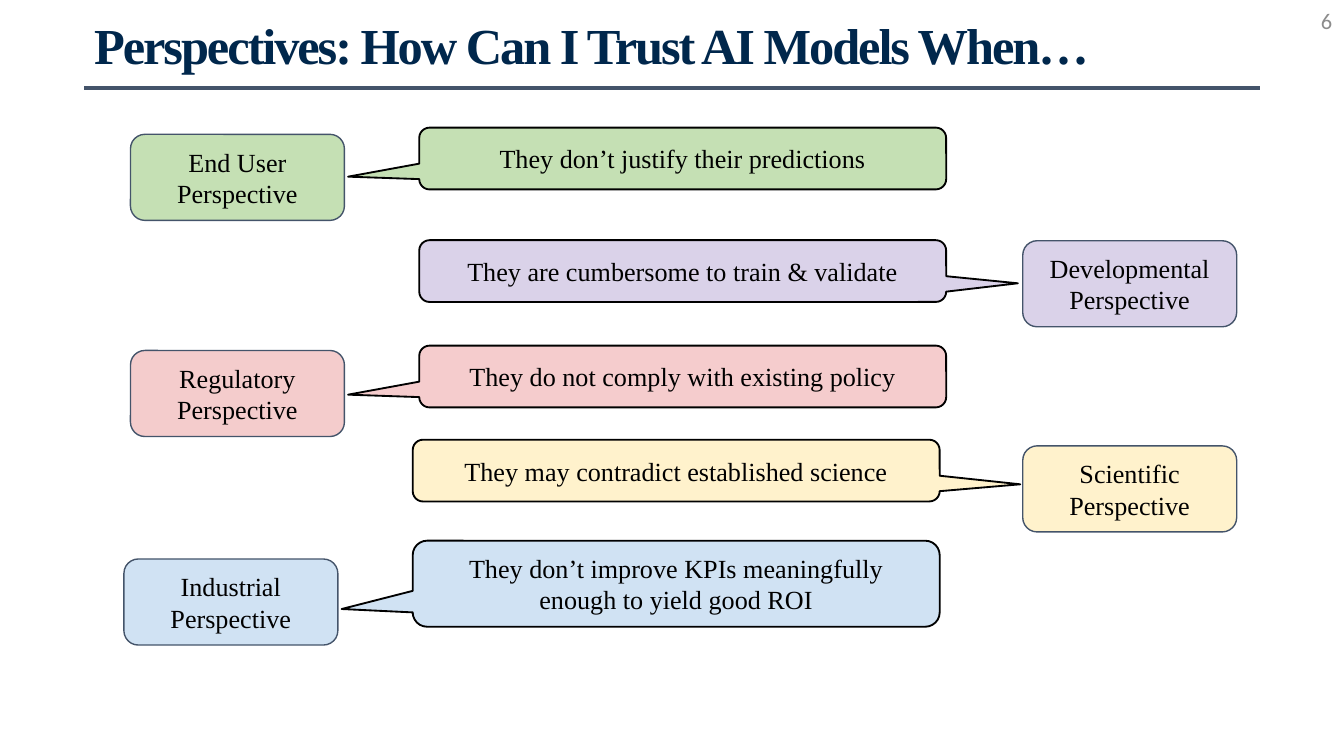
from pptx import Presentation
from pptx.dml.color import RGBColor
from pptx.enum.shapes import MSO_CONNECTOR, MSO_SHAPE
from pptx.enum.text import MSO_ANCHOR as ANCHOR, PP_ALIGN as ALIGN
from pptx.oxml.ns import qn
from pptx.util import Pt
from lxml.etree import SubElement

NAVY = RGBColor(0x00, 0x27, 0x4C)
SLATE = RGBColor(0x44, 0x54, 0x6A)
GRAY = RGBColor(0x8C, 0x8C, 0x8C)
BLACK = RGBColor(0x00, 0x00, 0x00)
GREEN = RGBColor(0xC5, 0xE0, 0xB4)
PURPLE = RGBColor(0xDA, 0xD2, 0xE9)
PINK = RGBColor(0xF4, 0xCC, 0xCC)
ROSE = RGBColor(0xF5, 0xCC, 0xCD)
BLUE = RGBColor(0xD0, 0xE2, 0xF3)
CREAM = RGBColor(0xFF, 0xF2, 0xCC)

SERIF = "Times New Roman"
TITLE = "Perspectives: How Can I Trust AI Models When…"
NUMBER = "6"
ROUND = 0.167
LABEL_W, LABEL_H = 114.6, 46.1
SPEECH_W, LOW, TALL = 282.3, 33.1, 46.1
LEFT, RIGHT, MIDDLE = 69.9, 547.9, 224.6
SHIFT = 3.5  # the lower rows sit slightly further left

# who, label x, label y, label fill, speech, x, y, height, fill, tail (x, y)
ROWS = [
    ("End User Perspective", LEFT, 72, GREEN,
     "They don’t justify their predictions",
     MIDDLE, 68.4, LOW, GREEN, (-0.635, 0.294)),
    ("Developmental Perspective", RIGHT, 129, PURPLE,
     "They are cumbersome to train & validate",
     MIDDLE, 128.7, LOW, PURPLE, (0.636, 0.198)),
    ("Regulatory Perspective", LEFT, 187.8, PINK,
     "They do not comply with existing policy",
     MIDDLE, 185.2, LOW, ROSE, (-0.635, 0.294)),
    ("Industrial Perspective", LEFT - SHIFT, 299.5, BLUE,
     "They don’t improve KPIs meaningfully enough to yield good ROI",
     MIDDLE - SHIFT, 289.7, TALL, BLUE, (-0.635, 0.294)),
    ("Scientific Perspective", RIGHT, 238.9, CREAM,
     "They may contradict established science",
     MIDDLE - SHIFT, 235.6, LOW, CREAM, (0.653, 0.222)),
]


def write(shape, text, size, color, name=SERIF, bold=False,
          align=ALIGN.CENTER, anchor=ANCHOR.MIDDLE, pad=(7.2, 3.6)):
    frame = shape.text_frame
    frame.word_wrap = True
    frame.vertical_anchor = anchor
    frame.margin_left = frame.margin_right = Pt(pad[0])
    frame.margin_top = frame.margin_bottom = Pt(pad[1])
    para = frame.paragraphs[0]
    para.alignment = align
    run = para.add_run()
    run.text = text
    for key, value in {"size": Pt(size), "name": name, "bold": bold}.items():
        setattr(run.font, key, value)
    run.font.color.rgb = color
    return para


def draw(slide, kind, box, fill, line, width, adjust):
    shape = slide.shapes.add_shape(kind, *map(Pt, box))
    shape.shadow.inherit = False
    shape.fill.solid()
    shape.fill.fore_color.rgb = fill
    shape.line.color.rgb = line
    shape.line.width = Pt(width)
    for i, value in enumerate(adjust):
        shape.adjustments[i] = value
    return shape


def add_head(slide):
    rule = slide.shapes.add_connector(
        MSO_CONNECTOR.STRAIGHT, Pt(45.2), Pt(47.3), Pt(674.8), Pt(47.3))
    rule.line.color.rgb = SLATE
    rule.line.width = Pt(2.25)
    SubElement(rule._element.spPr, qn("a:effectLst"))

    number = slide.shapes.add_textbox(Pt(558.7), Pt(0), Pt(162), Pt(21.6))
    write(number, NUMBER, 12, GRAY, name="Calibri", align=ALIGN.RIGHT)

    title = slide.shapes.add_textbox(Pt(45.2), Pt(8.6), Pt(630), Pt(33.1))
    para = write(title, TITLE, 27, NAVY, bold=True, align=ALIGN.LEFT,
                 anchor=ANCHOR.TOP, pad=(5.2, 2.7))
    para.line_spacing = 0.9
    para.runs[0]._r.get_or_add_rPr().set("spc", "-110")


def main():
    deck = Presentation()
    deck.slide_width, deck.slide_height = Pt(720), Pt(405)
    slide = deck.slides.add_slide(deck.slide_layouts[6])
    add_head(slide)
    for who, left, top, tint, speech, x, y, height, fill, tail in ROWS:
        label = draw(slide, MSO_SHAPE.ROUNDED_RECTANGLE,
                     (left, top, LABEL_W, LABEL_H), tint, SLATE, 0.75, [ROUND])
        write(label, who, 14, BLACK, pad=(7.2, 7.2))
        bubble = draw(slide, MSO_SHAPE.ROUNDED_RECTANGULAR_CALLOUT,
                      (x, y, SPEECH_W, height), fill, BLACK, 1, [*tail, ROUND])
        write(bubble, speech, 14, BLACK)
    deck.save("out.pptx")


if __name__ == "__main__":
    main()
